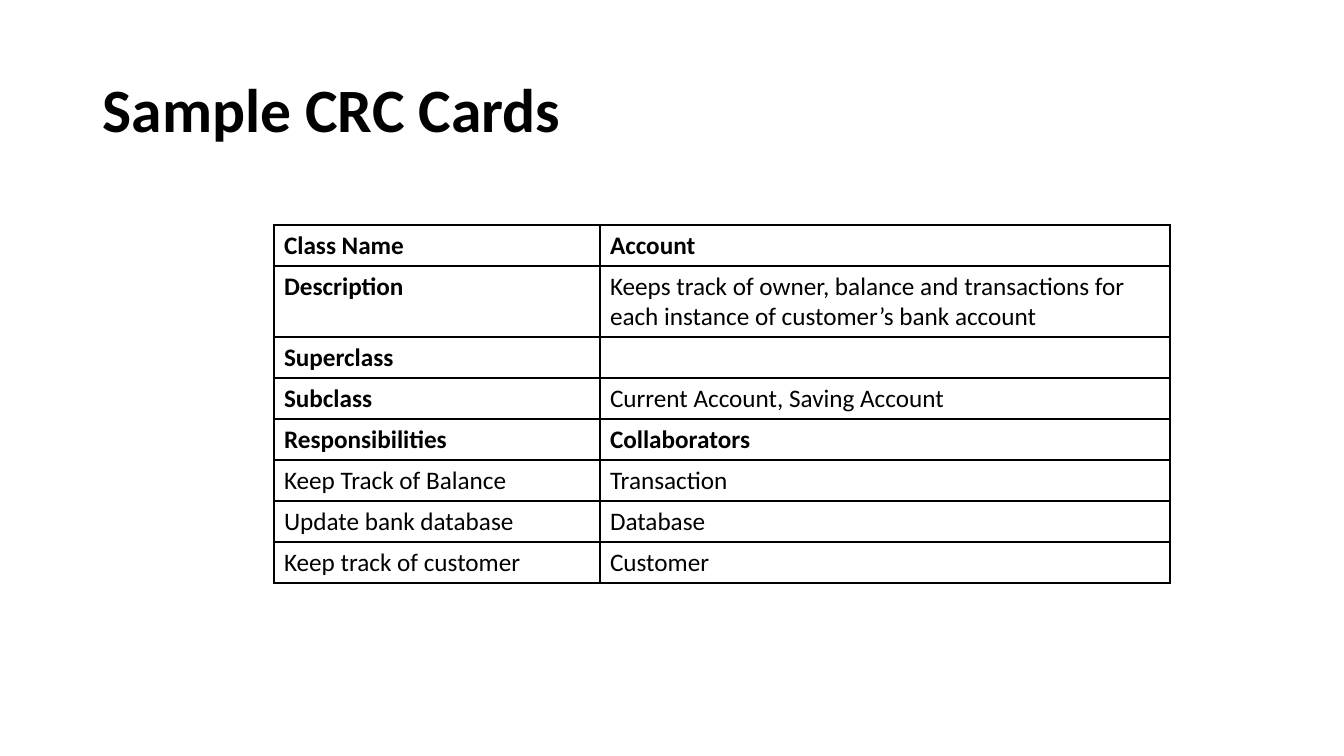
from lxml.etree import SubElement
from pptx import Presentation
from pptx.dml.color import RGBColor
from pptx.enum.text import MSO_ANCHOR as Anchor
from pptx.oxml.ns import qn
from pptx.util import Emu, Pt

EMU_PER_PX = 914400 / 100.8


def px(length):
    return Emu(round(length * EMU_PER_PX))


def color(hex_code):
    return RGBColor.from_string(hex_code)


class CardSlide:
    """Holds the shared style and the slide being filled."""
    font_name = "Calibri"
    ink = "000000"

    def __init__(self, deck):
        self.slide = deck.slides.add_slide(deck.slide_layouts[6])

    def set_text(self, paragraph, text, size, bold):
        paragraph.text = text
        for run in paragraph.runs:
            run.font.name = self.font_name
            run.font.size = Pt(size)
            run.font.bold = bold
            run.font.color.rgb = color(self.ink)

    def title(self, text, left, top, width, height):
        frame = self.slide.shapes.add_textbox(
            px(left), px(top), px(width), px(height)).text_frame
        frame.word_wrap = True
        frame.vertical_anchor = Anchor.MIDDLE
        self.set_text(frame.paragraphs[0], text, 44, True)
        frame.paragraphs[0].line_spacing = 0.9

    def border(self, cell):
        properties = cell._tc.get_or_add_tcPr()
        for side in ("a:lnL", "a:lnR", "a:lnT", "a:lnB"):
            line = SubElement(properties, qn(side), w=str(Pt(1)))
            fill = SubElement(line, qn("a:solidFill"))
            SubElement(fill, qn("a:srgbClr"), val=self.ink)

    def table(self, rows, bold_cells, left, top, widths, heights):
        grid = self.slide.shapes.add_table(
            len(rows), len(widths), px(left), px(top),
            px(sum(widths)), px(sum(heights))).table
        grid.first_row = grid.horz_banding = False
        for column, width in zip(grid.columns, widths):
            column.width = px(width)
        for r, (texts, height) in enumerate(zip(rows, heights)):
            grid.rows[r].height = px(height)
            for c, text in enumerate(texts):
                cell = grid.cell(r, c)
                self.border(cell)
                cell.fill.background()
                self.set_text(cell.text_frame.paragraphs[0], text, 18,
                              (r, c) in bold_cells)


def main():
    deck = Presentation()
    deck.slide_width, deck.slide_height = px(1344), px(756)
    card = CardSlide(deck)

    # Heading
    card.title("Sample CRC Cards", 93, 40, 1159, 146)

    # CRC card for the account class
    account_card = [
        ("Class Name", "Account"),
        ("Description", "Keeps track of owner, balance and transactions for "
                        "each instance of customer’s bank account"),
        ("Superclass", ""),
        ("Subclass", "Current Account, Saving Account"),
        ("Responsibilities", "Collaborators"),
        ("Keep Track of Balance", "Transaction"),
        ("Update bank database", "Database"),
        ("Keep track of customer", "Customer"),
    ]
    labels = {(row, 0) for row in range(5)} | {(0, 1), (4, 1)}
    card.table(account_card, labels, 274, 225, [326, 570],
               [41, 71] + [41] * 6)

    deck.save("out.pptx")


if __name__ == "__main__":
    main()
